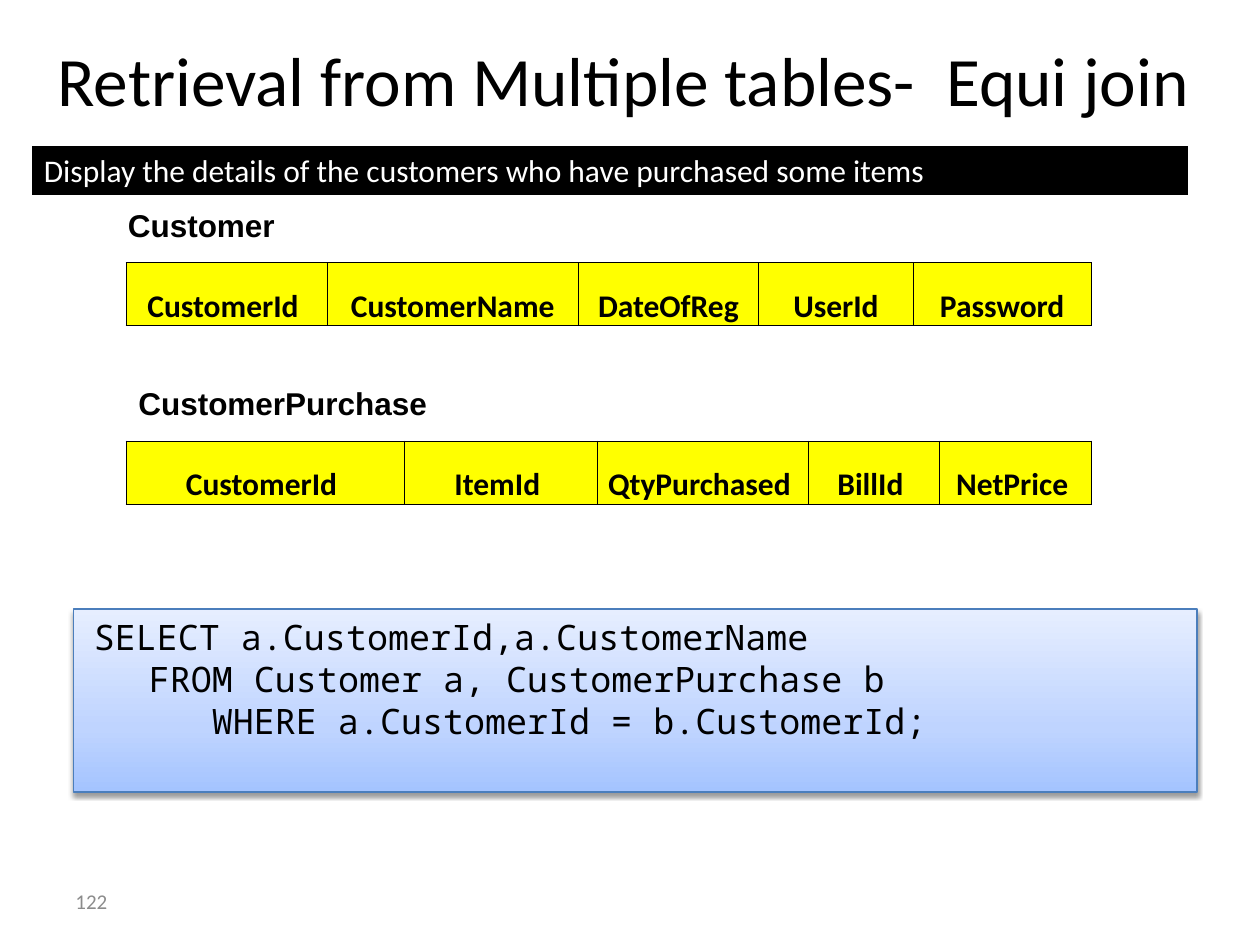
from dataclasses import dataclass
from lxml import etree
from pptx import Presentation
from pptx.dml.color import RGBColor
from pptx.enum import shapes, text
from pptx.oxml import parse_xml
from pptx.oxml.ns import nsdecls, qn
from pptx.util import Pt

BLACK = RGBColor(0, 0, 0)
WHITE = RGBColor(255, 255, 255)
GREY = RGBColor(0x8C, 0x8C, 0x8C)
YELLOW = RGBColor(255, 255, 0)
BLUE = RGBColor(0x4B, 0x7E, 0xBC)
CODE_STOPS = [
    (0, RGBColor(0xA4, 0xC4, 0xFF)),
    (35, RGBColor(0xBF, 0xD4, 0xFF)),
    (100, RGBColor(0xE6, 0xEE, 0xFF)),
]
TOP, MIDDLE, BOTTOM = text.MSO_ANCHOR.TOP, text.MSO_ANCHOR.MIDDLE, text.MSO_ANCHOR.BOTTOM
LEFT, CENTER = text.PP_ALIGN.LEFT, text.PP_ALIGN.CENTER


@dataclass
class Box:
    left: float
    top: float
    width: float
    height: float

    def lengths(self) -> list:
        return [Pt(v) for v in (self.left, self.top, self.width, self.height)]


@dataclass
class Label:
    text: str
    box: Box
    size: float = 18
    font: str = "Arial"
    color: RGBColor = BLACK
    bold: bool = True
    anchor: text.MSO_ANCHOR = TOP


@dataclass
class Schema:
    top: float
    columns: dict[str, float]


def style(p, size: float, font: str, color: RGBColor, bold: bool = False, align=LEFT) -> None:
    p.alignment = align
    p.font.size = Pt(size)
    p.font.name = font
    p.font.bold = bold
    p.font.color.rgb = color


def add_label(slide, label: Label) -> None:
    tf = slide.shapes.add_textbox(*label.box.lengths()).text_frame
    tf.word_wrap = True
    tf.vertical_anchor = label.anchor
    p = tf.paragraphs[0]
    p.text = label.text
    style(p, label.size, label.font, label.color, label.bold)


def add_panel(slide, box: Box, line: RGBColor):
    sp = slide.shapes.add_shape(shapes.MSO_SHAPE.RECTANGLE, *box.lengths())
    sp.shadow.inherit = False
    sp.line.color.rgb = line
    sp.line.width = Pt(0.75)
    sp.text_frame.word_wrap = True
    sp.text_frame.vertical_anchor = TOP
    return sp


def add_schema(slide, schema: Schema) -> None:
    widths = schema.columns.values()
    box = Box(72, schema.top, sum(widths), 36)
    frame = slide.shapes.add_table(1, len(widths), *box.lengths())
    table = frame.table
    table.rows[0].height = Pt(box.height)
    for i, (name, width) in enumerate(schema.columns.items()):
        table.columns[i].width = Pt(width)
        cell = table.cell(0, i)
        cell.margin_left = cell.margin_right = cell.margin_top = Pt(0.75)
        cell.margin_bottom = Pt(0)
        cell.vertical_anchor = BOTTOM
        p = cell.text_frame.paragraphs[0]
        p.text = name
        style(p, 18, "Calibri", BLACK, True, CENTER)
        tcPr = cell._tc.get_or_add_tcPr()
        for side in ("lnL", "lnR", "lnT", "lnB"):
            tcPr.append(parse_xml(
                f'<a:{side} {nsdecls("a")} w="{Pt(0.5)}"><a:solidFill>'
                f'<a:srgbClr val="{BLACK}"/></a:solidFill></a:{side}>'))
        cell.fill.solid()
        cell.fill.fore_color.rgb = YELLOW


def add_gradient_and_shadow(sp) -> None:
    sp.fill.gradient()
    sp.fill.gradient_angle = 90
    stops = sp._element.spPr.find(".//" + qn("a:gsLst"))
    for stop in list(stops):
        stops.remove(stop)
    for position, color in CODE_STOPS:
        stop = etree.SubElement(stops, qn("a:gs"), pos=str(position * 1000))
        etree.SubElement(stop, qn("a:srgbClr"), val=str(color))
    effects = sp._element.spPr.find(qn("a:effectLst"))
    effects.append(parse_xml(
        f'<a:outerShdw {nsdecls("a")} blurRad="{Pt(3.1)}" dist="{Pt(1.6)}" dir="5400000" '
        f'rotWithShape="0"><a:srgbClr val="{BLACK}"><a:alpha val="38000"/></a:srgbClr></a:outerShdw>'))


def add_code(slide, box: Box, lines: list[str]) -> None:
    sp = add_panel(slide, box, BLUE)
    add_gradient_and_shadow(sp)
    tf = sp.text_frame
    for i, line in enumerate(lines):
        p = tf.add_paragraph() if i else tf.paragraphs[0]
        style(p, 20, "Noto Sans Mono", BLACK)
        if i == 0:
            r = p.add_run()
            r.text = " "
            r.font.name = "Calibri"
        p.add_run().text = line


prs = Presentation()
prs.slide_width, prs.slide_height = Pt(720), Pt(540)
slide = prs.slides.add_slide(prs.slide_layouts[5])

add_label(slide, Label("122", Box(36, 500.5, 168, 28.75), 12, "Calibri", GREY, False, MIDDLE))

bar = add_panel(slide, Box(18, 83, 661, 29), WHITE)
bar.fill.solid()
bar.fill.fore_color.rgb = BLACK
p = bar.text_frame.paragraphs[0]
p.text = "Display the details of the customers who have purchased some items"
style(p, 18, "Calibri", WHITE)

add_code(slide, Box(42, 348, 642, 104.5), [
    "SELECT a.CustomerId,a.CustomerName",
    " \tFROM Customer a, CustomerPurchase b",
    " \t\tWHERE a.CustomerId = b.CustomerId;",
])

title = slide.shapes.title
title.left, title.top, title.width, title.height = Box(18, 24, 675, 42).lengths()
tf = title.text_frame
tf.auto_size = text.MSO_AUTO_SIZE.NONE
tf.vertical_anchor = MIDDLE
tf.margin_left = Pt(0)
p = tf.paragraphs[0]
p.text = " Retrieval from Multiple tables-  Equi join"
style(p, 39.6, "Calibri", BLACK, align=CENTER)

for schema in (
    Schema(150, {"CustomerId ": 115, "CustomerName": 143.5, "DateOfReg": 103,
                 "UserId": 88.5, "Password": 101.5}),
    Schema(252, {"CustomerId ": 159, "ItemId ": 110.5, "QtyPurchased ": 120.5,
                 "BillId ": 75, "NetPrice ": 87}),
):
    add_schema(slide, schema)

for label in (
    Label("Customer", Box(66, 114, 114, 29)),
    Label("CustomerPurchase", Box(72, 216, 186, 29)),
):
    add_label(slide, label)

prs.save("out.pptx")
